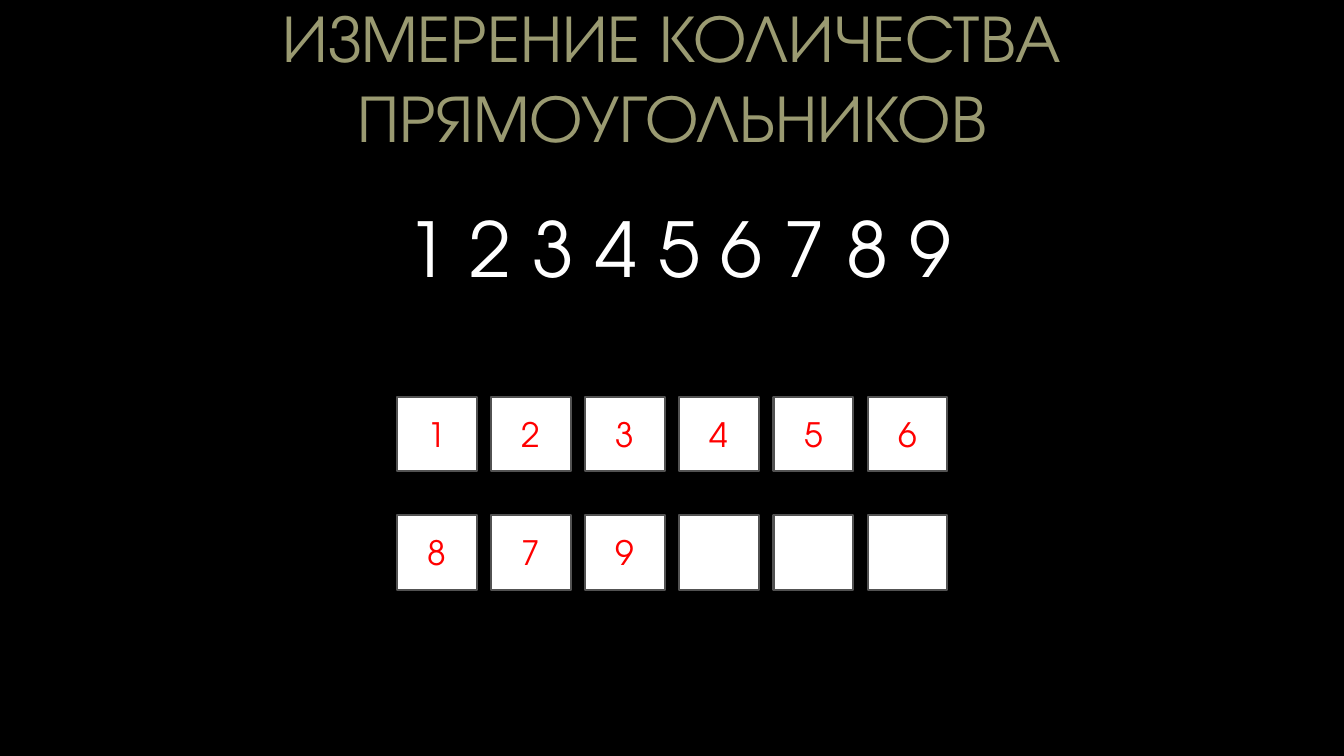
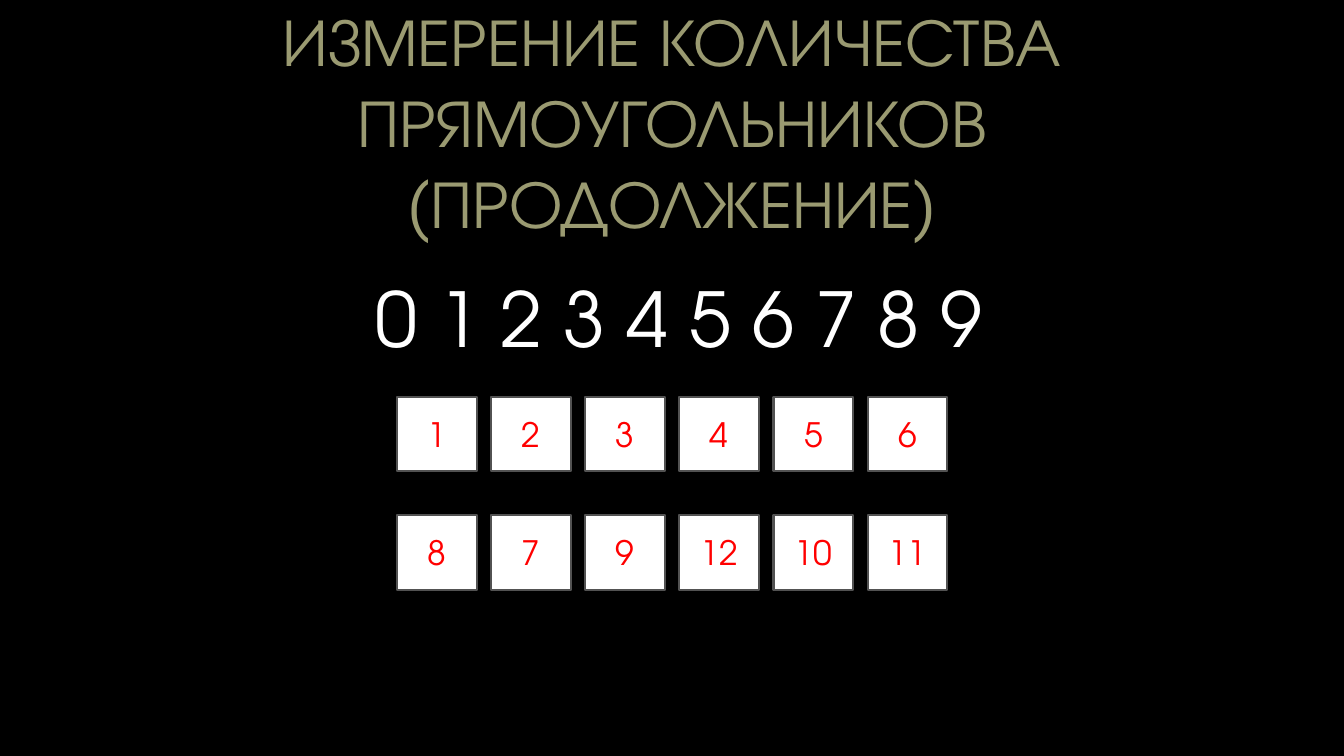
from typing import NamedTuple

from pptx import Presentation
from pptx.dml.color import RGBColor
from pptx.enum.shapes import MSO_SHAPE
from pptx.enum.text import MSO_ANCHOR, MSO_AUTO_SIZE, PP_ALIGN
from pptx.util import Pt

FONT = "TeX Gyre Adventor"
BLACK, WHITE, GREY, OLIVE, RED = "000000", "FFFFFF", "525252", "9A9A71", "FF0000"
TITLE = "ИЗМЕРЕНИЕ КОЛИЧЕСТВА ПРЯМОУГОЛЬНИКОВ"

LEFT, STEP = 283.5, 67.25
WIDTH, HEIGHT = 57, 53.25
TOPS = (283.5, 368)

MIDDLE = {"word_wrap": True, "vertical_anchor": MSO_ANCHOR.MIDDLE}
GROW = {"word_wrap": True, "auto_size": MSO_AUTO_SIZE.SHAPE_TO_FIT_TEXT}


class Box(NamedTuple):
    left: float
    top: float
    width: float
    height: float

    def lengths(self) -> list[Pt]:
        return [Pt(value) for value in self]


class Style(NamedTuple):
    size: float
    color: str
    frame: dict


class Page(NamedTuple):
    title: str
    top: float
    digits: str
    line: float
    rows: tuple[tuple[str, ...], ...]


HEAD = Style(48, OLIVE, MIDDLE)
COUNT = Style(54, WHITE, GROW)
LABEL = Style(24, RED, MIDDLE)

FIRST = ("1", "2", "3", "4", "5", "6")
PAGES = (
    Page(TITLE, 18.75, "1 2 3 4 5 6 7 8 9", 140.5,
         (FIRST, ("8", "7", "9", "", "", ""))),
    Page(f"{TITLE}\n(ПРОДОЛЖЕНИЕ)", 51, "0 1 2 3 4 5 6 7 8 9", 191,
         (FIRST, ("8", "7", "9", "12", "10", "11"))),
)


def paint(target, color: str) -> None:
    target.rgb = RGBColor.from_string(color)


def flood(fill, color: str) -> None:
    fill.solid()
    paint(fill.fore_color, color)


def write(shape, text: str, style: Style) -> None:
    frame = shape.text_frame
    for name, value in style.frame.items():
        setattr(frame, name, value)
    para = frame.paragraphs[0]
    para.alignment = PP_ALIGN.CENTER
    para.text = text
    for run in para.runs:
        for name, value in {"name": FONT, "size": Pt(style.size)}.items():
            setattr(run.font, name, value)
        paint(run.font.color, style.color)


def label(slide, box: Box, text: str, style: Style) -> None:
    write(slide.shapes.add_textbox(*box.lengths()), text, style)


def square(group, box: Box, text: str) -> None:
    shape = group.shapes.add_shape(MSO_SHAPE.RECTANGLE, *box.lengths())
    shape.shadow.inherit = False
    flood(shape.fill, WHITE)
    flood(shape.line.fill, GREY)
    shape.line.width = Pt(1.5)
    if text:
        write(shape, text, LABEL)


def build(deck, page: Page) -> None:
    slide = deck.slides.add_slide(deck.slide_layouts[6])
    label(slide, Box(90, page.top, 780, 70.5), page.title, HEAD)
    label(slide, Box(196.5, page.line, 577, 72.75), page.digits, COUNT)
    for top, row in zip(TOPS, page.rows):
        group = slide.shapes.add_group_shape()
        for index, text in enumerate(row):
            square(group, Box(LEFT + index * STEP, top, WIDTH, HEIGHT), text)


def main() -> None:
    """Build the deck on counting rectangles."""
    deck = Presentation()
    deck.slide_width, deck.slide_height = Pt(960), Pt(540)
    flood(deck.slide_master.background.fill, BLACK)
    for page in PAGES:
        build(deck, page)
    deck.save("out.pptx")


if __name__ == "__main__":
    main()
